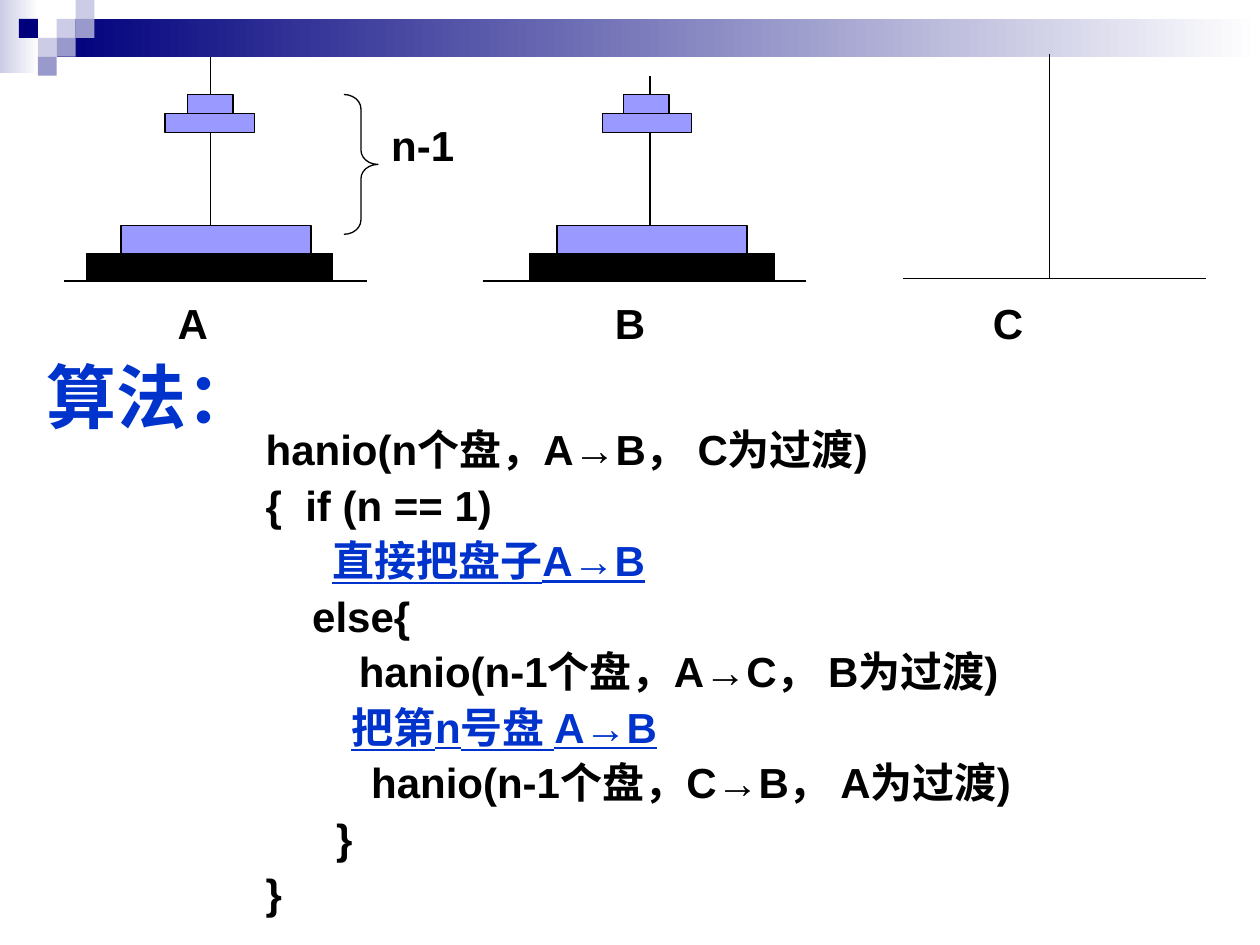
"""Build the Tower of Hanoi algorithm slide."""
from dataclasses import dataclass

from lxml import etree
from pptx import Presentation
from pptx.dml.color import RGBColor
from pptx.enum.shapes import MSO_CONNECTOR, MSO_SHAPE
from pptx.enum.text import MSO_ANCHOR, PP_ALIGN
from pptx.oxml.ns import qn
from pptx.util import Emu, Inches, Pt

RECT, BRACE = MSO_SHAPE.RECTANGLE, MSO_SHAPE.RIGHT_BRACE
STRAIGHT = MSO_CONNECTOR.STRAIGHT
LEFT, CENTER, JUSTIFY = PP_ALIGN.LEFT, PP_ALIGN.CENTER, PP_ALIGN.JUSTIFY
MIDDLE, TOP = MSO_ANCHOR.MIDDLE, MSO_ANCHOR.TOP

WIDTH, HEIGHT = Inches(10), Inches(7.5)
COLS = 100
UNIT = WIDTH / COLS
TILE = 1.5


@dataclass(frozen=True)
class Theme:
    font: str = "Arial"
    title_pt: float = 40
    body_pt: float = 24
    line_pt: float = 0.75
    gap_pt: float = 5.8
    ink: str = "000000"
    accent: str = "0033CC"
    disc: str = "9999FF"
    navy: str = "00007D"
    mid: str = "9999CC"
    pale: str = "CCCCE6"
    white: str = "FFFFFF"


@dataclass(frozen=True)
class Box:
    x: float
    y: float
    w: float
    h: float


@dataclass(frozen=True)
class Peg:
    name: str
    name_x: float
    x: float
    top: float
    ground: float
    left: float
    right: float
    stack: tuple = ()


@dataclass(frozen=True)
class Disc:
    y: float
    w: float
    h: float
    color: str


T = Theme()
DISCS = (Disc(20.1, 19.5, 2.2, T.ink), Disc(17.9, 15.1, 2.2, T.disc),
         Disc(9, 7.1, 1.5, T.disc), Disc(7.5, 3.6, 1.5, T.disc))
PEGS = (
    Peg("A", 15.3, 16.7, 4.5, 22.3, 5.1, 29.1, (16.65, 17.15, 16.65, 16.7)),
    Peg("B", 50, 51.6, 6, 22.3, 38.3, 64, (51.75, 51.75, 51.35, 51.3)),
    Peg("C", 80, 83.3, 4.3, 22.1, 71.7, 95.7),
)
TILES = ((3, 1, T.pale), (4, 0, T.pale), (4, 1, T.mid), (2, 2, T.pale),
         (1, 1, T.navy), (3, 2, T.mid), (2, 3, T.mid))
GRADIENTS = ((Box(0, 0, 3.1, 5.8), T.pale), (Box(4.5, 1.5, 95.5, 3), T.navy))
CODE = (
    ("hanio(n个盘，A→B， C为过渡)", ""),
    ("{  if (n == 1)", ""),
    ("       ", "直接把盘子A→B"),
    ("    else{", ""),
    ("        hanio(n-1个盘，A→C， B为过渡)", ""),
    ("\t    ", "把第n号盘 A→B"),
    ("\t     hanio(n-1个盘，C→B， A为过渡)", ""),
    ("\t  }", ""),
    ("}", ""),
)


def u(n: float) -> Emu:
    """Turn grid columns or rows into a length."""
    return Emu(round(n * UNIT))


def place(b: Box) -> tuple:
    """Return the lengths of a box on the grid."""
    return u(b.x), u(b.y), u(b.w), u(b.h)


def apply(obj, fmt: dict) -> None:
    """Set each attribute named in a dict of format values."""
    for k, v in fmt.items():
        setattr(obj, k, v)


def add_shape(s, kind, b: Box, fill: str = "", line: str = "", end: str = ""):
    """Add a shape with a solid, gradient or absent fill."""
    sp = s.shapes.add_shape(kind, *place(b))
    sp.shadow.inherit = False
    if end:
        sp.fill.gradient()
        sp.fill.gradient_angle = 0
        for stop, color in zip(sp.fill.gradient_stops, (fill, end)):
            stop.color.rgb = RGBColor.from_string(color)
    elif fill:
        sp.fill.solid()
        sp.fill.fore_color.rgb = RGBColor.from_string(fill)
    else:
        sp.fill.background()
    if line:
        sp.line.color.rgb = RGBColor.from_string(line)
        sp.line.width = Pt(T.line_pt)
    else:
        sp.line.fill.background()
    return sp


def add_line(s, x1: float, y1: float, x2: float, y2: float) -> None:
    """Add a thin straight line."""
    c = s.shapes.add_connector(STRAIGHT, u(x1), u(y1), u(x2), u(y2))
    c.line.color.rgb = RGBColor.from_string(T.ink)
    c.line.width = Pt(T.line_pt)
    etree.SubElement(c._element.spPr, qn("a:effectLst"))


def add_run(p, text: str, size: float, color: str, underline: bool = False) -> None:
    """Add a bold run to a paragraph."""
    r = p.add_run()
    r.text = text
    apply(r.font, {"name": T.font, "size": Pt(size), "bold": True,
                   "underline": underline})
    r.font.color.rgb = RGBColor.from_string(color)


def add_text(s, b: Box):
    """Add a wrapping text box and return its frame."""
    tf = s.shapes.add_textbox(*place(b)).text_frame
    apply(tf, {"word_wrap": True, "vertical_anchor": TOP})
    return tf


def add_label(s, text: str, b: Box) -> None:
    """Add a centred label."""
    p = add_text(s, b).paragraphs[0]
    p.alignment = CENTER
    add_run(p, text, T.body_pt, T.ink)


def add_title(s, text: str, b: Box) -> None:
    """Move and format the title placeholder."""
    sp = s.shapes.title
    apply(sp, dict(zip(("left", "top", "width", "height"), place(b))))
    apply(sp.text_frame, {"word_wrap": True, "vertical_anchor": MIDDLE})
    p = sp.text_frame.paragraphs[0]
    p.alignment = LEFT
    add_run(p, text, T.title_pt, T.accent)


def add_code(s, b: Box) -> None:
    """Add the pseudocode, one paragraph a line."""
    tf = add_text(s, b)
    for i, (plain, step) in enumerate(CODE):
        p = tf.add_paragraph() if i else tf.paragraphs[0]
        apply(p, {"alignment": JUSTIFY, "line_spacing": 0.9,
                  "space_before": Pt(T.gap_pt if i else 0)})
        pPr = p._p.get_or_add_pPr()
        pPr.set("marL", str(u(3.75)))
        pPr.set("indent", str(-u(3.75)))
        add_run(p, plain, T.body_pt, T.ink)
        if step:
            add_run(p, step, T.body_pt, T.accent, True)


def add_peg(s, peg: Peg) -> None:
    """Draw a peg with its ground line, discs and name."""
    add_line(s, peg.left, peg.ground, peg.right, peg.ground)
    add_line(s, peg.x, peg.ground, peg.x, peg.top)
    for d, x in zip(DISCS, peg.stack):
        add_shape(s, RECT, Box(x - d.w / 2, d.y, d.w, d.h), d.color, T.ink)
    add_label(s, peg.name, Box(peg.name_x - 3, 23.1, 6, 5))


def main() -> None:
    """Build and save the slide."""
    prs = Presentation()
    apply(prs, {"slide_width": WIDTH, "slide_height": HEIGHT})
    s = prs.slides.add_slide(prs.slide_layouts[5])
    for b, color in GRADIENTS:
        add_shape(s, RECT, b, color, end=T.white)
    for col, row, color in TILES:
        add_shape(s, RECT, Box(col * TILE, row * TILE, TILE, TILE), color)
    add_title(s, "算法：", Box(2.7, 26.8, 15.8, 9.2))
    add_code(s, Box(20.1, 33.6, 74.9, 40.6))
    for peg in PEGS:
        add_peg(s, peg)
    brace = add_shape(s, BRACE, Box(27.3, 7.5, 2.7, 11.1), line=T.ink)
    brace.adjustments[0] = 0.42
    add_label(s, "n-1", Box(30, 9, 7.1, 5))
    prs.save("out.pptx")


if __name__ == "__main__":
    main()
